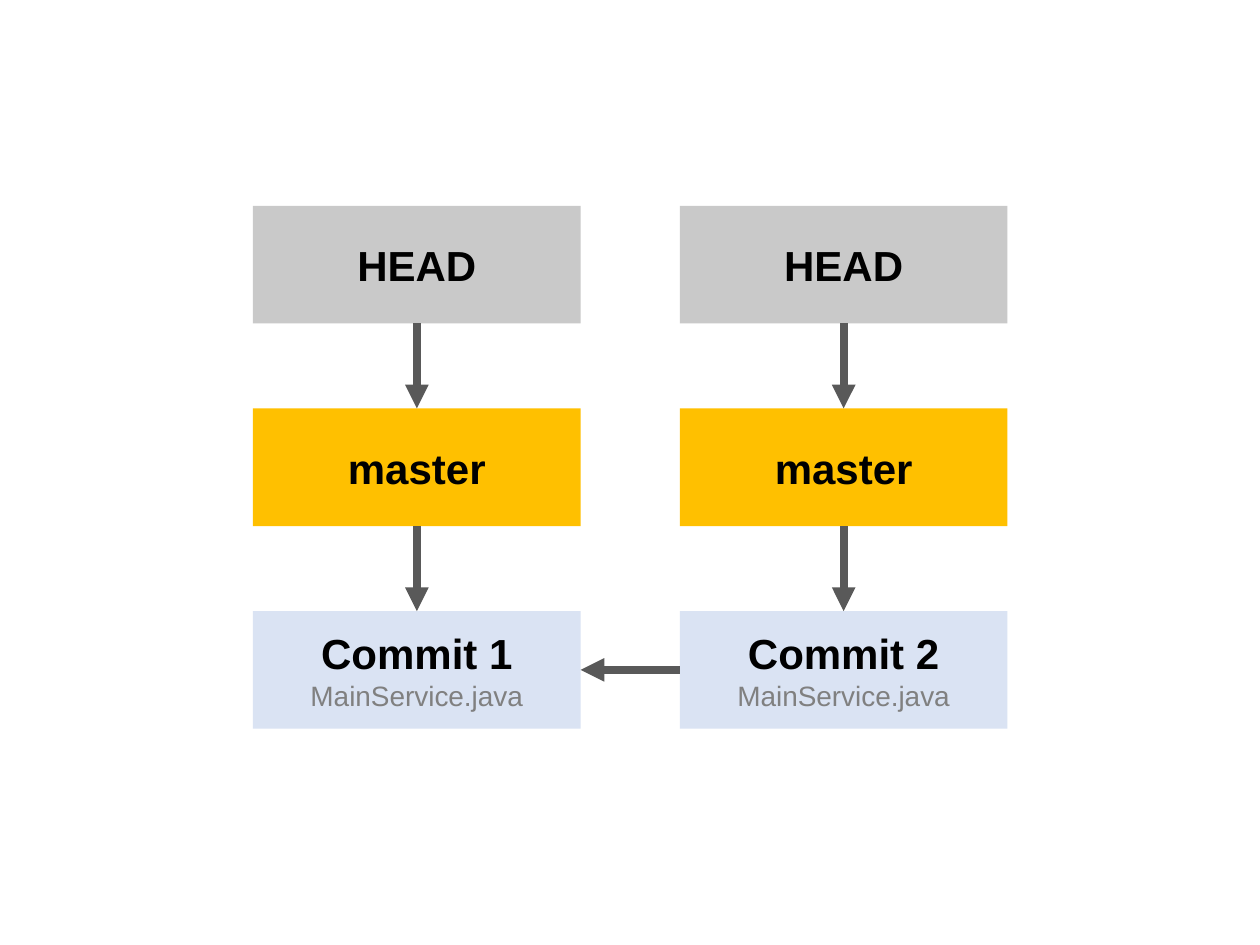
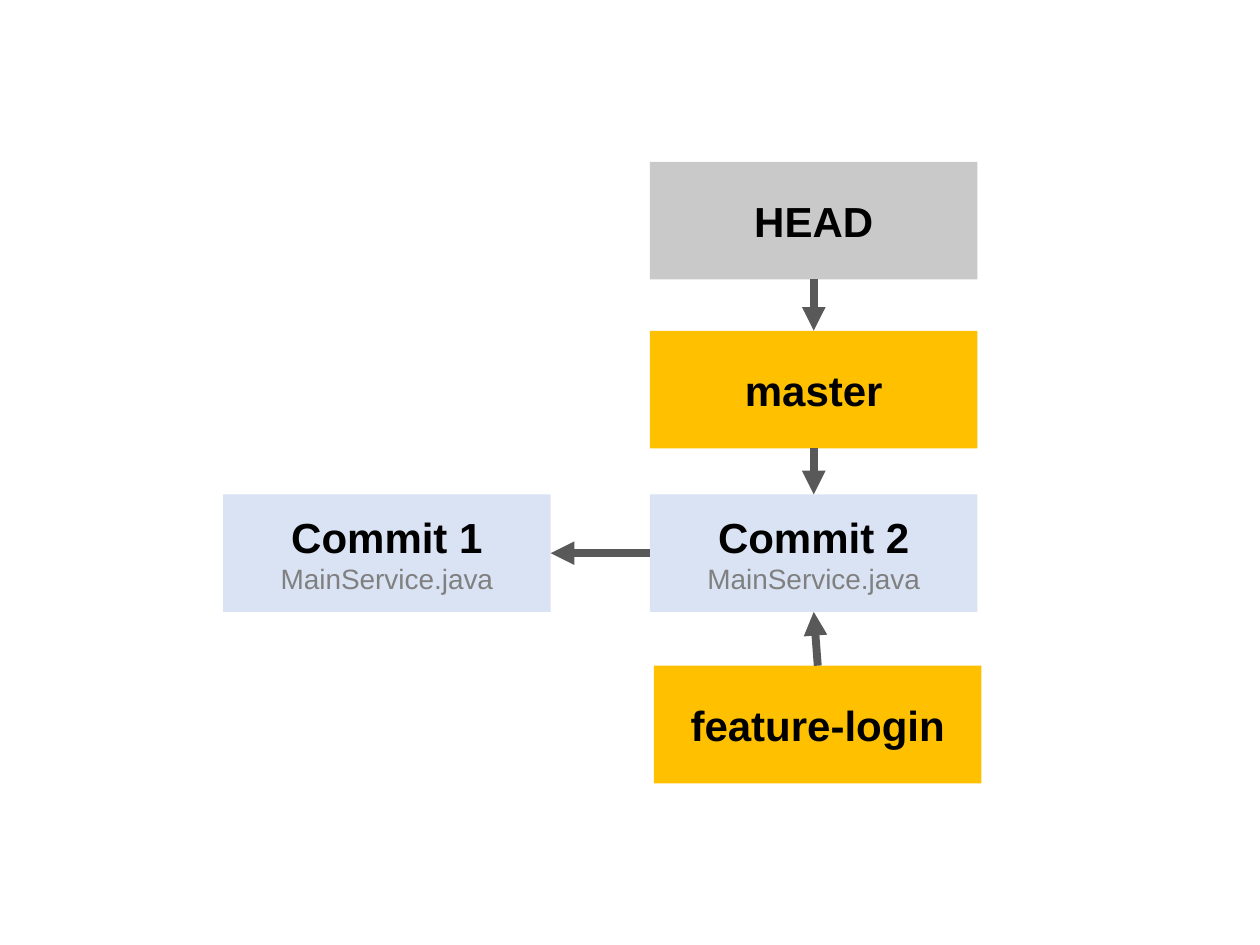
from lxml import etree
from pptx import Presentation
from pptx.dml.color import RGBColor
from pptx.enum import shapes, text
from pptx.oxml import ns
from pptx.util import Pt

TOP, LEFT, BOTTOM, RIGHT = range(4)
BOX_WIDTH, BOX_HEIGHT = 187.2, 67.2
COLUMN_PITCH = 243.9


def color(hex_string):
    return RGBColor.from_string(hex_string)


class GitDiagram:
    FONT = "Arial"
    HEAD = "C9C9C9"
    BRANCH = "FFC000"
    COMMIT = "DAE3F3"
    LABEL = "000000"
    FILE = "808080"
    ARROW = "595959"

    def __init__(self, deck):
        self.deck = deck
        self.slide = None

    def new_slide(self):
        self.slide = self.deck.slides.add_slide(self.deck.slide_layouts[6])

    def add_words(self, paragraph, words, size, ink, bold):
        paragraph.alignment = text.PP_ALIGN.CENTER
        run = paragraph.add_run()
        run.text = words
        run.font.name = self.FONT
        run.font.size = Pt(size)
        run.font.bold = bold
        run.font.color.rgb = color(ink)

    def box(self, left, top, label, fill):
        node = self.slide.shapes.add_shape(
            shapes.MSO_SHAPE.RECTANGLE, Pt(left), Pt(top), Pt(BOX_WIDTH), Pt(BOX_HEIGHT))
        node.shadow.inherit = False
        node.fill.solid()
        node.fill.fore_color.rgb = color(fill)
        node.line.fill.background()
        node.text_frame.vertical_anchor = text.MSO_ANCHOR.MIDDLE
        self.add_words(node.text_frame.paragraphs[0], label, 24, self.LABEL, True)
        return node

    def head(self, left, top):
        return self.box(left, top, "HEAD", self.HEAD)

    def branch(self, left, top, name):
        return self.box(left, top, name, self.BRANCH)

    def commit(self, left, top, number):
        node = self.box(left, top, f"Commit {number}", self.COMMIT)
        self.add_words(node.text_frame.add_paragraph(), "MainService.java", 16, self.FILE, False)
        return node

    def arrow(self, source, source_side, target, target_side):
        link = self.slide.shapes.add_connector(shapes.MSO_CONNECTOR.STRAIGHT, 0, 0, 0, 0)
        link.begin_connect(source, source_side)
        link.end_connect(target, target_side)
        link.line.color.rgb = color(self.ARROW)
        link.line.width = Pt(4.5)
        properties = link.element.spPr
        etree.SubElement(properties.find(ns.qn("a:ln")), ns.qn("a:tailEnd"), type="triangle")
        etree.SubElement(properties, ns.qn("a:effectLst"))

    def chain(self, left, tops, number):
        head_top, master_top, commit_top = tops
        head = self.head(left, head_top)
        master = self.branch(left, master_top, "master")
        commit = self.commit(left, commit_top, number)
        self.arrow(head, BOTTOM, master, TOP)
        self.arrow(master, BOTTOM, commit, TOP)
        return commit


def second_commit_slide(diagram):
    diagram.new_slide()
    left, top, row_pitch = 144.6, 117.6, 115.8
    tops = [top + row * row_pitch for row in range(3)]
    first, second = [
        diagram.chain(left + column * COLUMN_PITCH, tops, column + 1) for column in range(2)]
    diagram.arrow(second, LEFT, first, RIGHT)


def feature_branch_slide(diagram):
    diagram.new_slide()
    left, commit_top = 127.5, 282.5
    second_left = left + COLUMN_PITCH
    second = diagram.chain(second_left, (92.5, 189, commit_top), 2)
    first = diagram.commit(left, commit_top, 1)
    feature = diagram.branch(second_left + 2.3, 380.4, "feature-login")
    diagram.arrow(second, LEFT, first, RIGHT)
    diagram.arrow(feature, TOP, second, BOTTOM)


def main():
    deck = Presentation()
    deck.slide_width, deck.slide_height = Pt(720), Pt(540)
    diagram = GitDiagram(deck)
    second_commit_slide(diagram)
    feature_branch_slide(diagram)
    deck.save("out.pptx")


if __name__ == "__main__":
    main()
